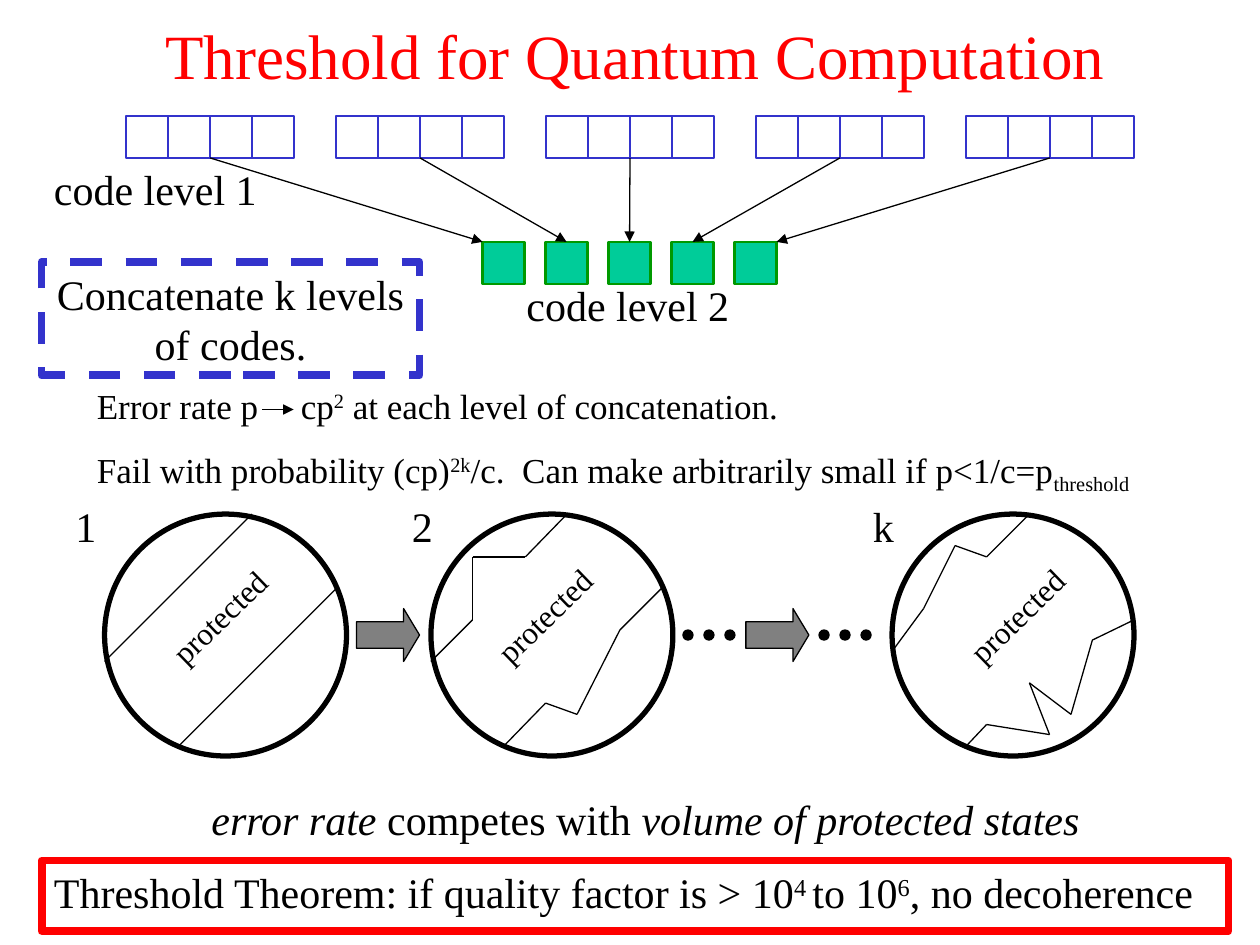
import pptx
import pptx.util
import pptx.dml.color
import pptx.enum.dml
import pptx.enum.shapes
import pptx.enum.text
import pptx.oxml
import pptx.oxml.ns
import lxml.etree

Inches, Pt = pptx.util.Inches, pptx.util.Pt
SHAPE = pptx.enum.shapes.MSO_SHAPE
ALIGN = pptx.enum.text.PP_ALIGN
FONT = "Times New Roman"
BLACK, RED, BLUE = "000000", "FF0000", "3333CC"
TEAL, GREEN, GREY = "00CC99", "009900", "808080"

# Content: a run is (text, style), style one of "", "i", "super", "sub"
TITLE = "Threshold for Quantum Computation"
LABELS = [("code level 1", 0.33, 1.25), ("code level 2", 4.08, 2.17)]
ERROR_LINES = [
    [("Error rate p\tcp", ""), ("2", "super"),
     (" at each level of concatenation.", "")],
    [("Fail with probability (cp)", ""), ("2k", "super"),
     ("/c.  Can make arbitrarily small if p<1/c=p", ""), ("threshold", "sub")],
]
COMPETES = [("error rate", "i"), (" competes with ", ""),
            ("volume of protected states", "i")]
THEOREM = [("Threshold Theorem: if quality factor is > 10", ""), ("4 ", "super"),
           ("to 10", ""), ("6", "super"), (", no decoherence", "")]

# Each level: label, label left, circle left, word position, boundary paths
LEVELS = [
    ("1", 0.5, 0.83, (1.17, 4.68), [
        [(0.83, 5.25), (2, 4.08)],
        [(1.42, 5.92), (2.67, 4.67)]]),
    ("2", 3.17, 3.42, (3.75, 4.67), [
        [(3.42, 5.25), (3.75, 4.92), (3.75, 4.42), (4.17, 4.42), (4.5, 4.08)],
        [(4, 5.92), (4.33, 5.58), (4.58, 5.67), (4.92, 5), (5.25, 4.67)]]),
    ("k", 6.83, 7.08, (7.5, 4.67), [
        [(7.08, 5.17), (7.33, 4.83), (7.58, 4.33), (7.83, 4.42), (8.17, 4.08)],
        [(7.67, 5.92), (7.83, 5.75), (8.33, 5.83), (8.17, 5.42), (8.5, 5.67),
         (8.67, 5.08), (9, 4.92)]]),
]
BLOCK_ARROWS = [2.83, 5.92]
DOT_GROUPS = [5.42, 6.5]

# Code blocks
CELL, ROW_TOP, LOWER_TOP = 1 / 3, 0.92, 1.92
GROUPS, CELLS = 5, 4


def rgb(hex_color):
    return pptx.dml.color.RGBColor.from_string(hex_color)


def add_shape(kind, x, y, w, h, line, width, fill=None):
    sp = s.shapes.add_shape(kind, Inches(x), Inches(y), Inches(w), Inches(h))
    sp.shadow.inherit = False
    if fill:
        sp.fill.solid()
        sp.fill.fore_color.rgb = rgb(fill)
    else:
        sp.fill.background()
    sp.line.color.rgb = rgb(line)
    sp.line.width = Pt(width)
    return sp


def add_line(start, end, arrow=False):
    cn = s.shapes.add_connector(pptx.enum.shapes.MSO_CONNECTOR.STRAIGHT,
                                *map(Inches, start + end))
    cn.line.color.rgb = rgb(BLACK)
    cn.line.width = Pt(0.75)
    qn = pptx.oxml.ns.qn
    if arrow:
        lxml.etree.SubElement(cn.line._get_or_add_ln(), qn("a:tailEnd"),
                              type="triangle")
    lxml.etree.SubElement(cn._element.spPr, qn("a:effectLst"))
    return cn


def write(sp, paragraphs, size, align=ALIGN.LEFT, color=BLACK, before=0, tab=None):
    tf = sp.text_frame
    tf.word_wrap = True
    tf.auto_size = pptx.enum.text.MSO_AUTO_SIZE.NONE
    tf.vertical_anchor = pptx.enum.text.MSO_ANCHOR.TOP
    for i, runs in enumerate(paragraphs):
        p = tf.add_paragraph() if i else tf.paragraphs[0]
        p.alignment = align
        p.space_before = Pt(before if i else 0)
        if tab:
            tabs = lxml.etree.SubElement(p._p.get_or_add_pPr(),
                                         pptx.oxml.ns.qn("a:tabLst"))
            lxml.etree.SubElement(tabs, pptx.oxml.ns.qn("a:tab"),
                                  pos=str(Inches(tab)), algn="l")
        p.font.name, p.font.size = FONT, Pt(size)
        p.font.color.rgb = rgb(color)
        for text, style in runs:
            r = p.add_run()
            r.text = text
            if style == "i":
                r.font.italic = True
            elif style:
                r._r.get_or_add_rPr().set(
                    "baseline", {"super": "30000", "sub": "-25000"}[style])


def add_text(paragraphs, x, y, w, h, size, **style):
    sp = s.shapes.add_textbox(Inches(x), Inches(y), Inches(w), Inches(h))
    write(sp, paragraphs, size, **style)
    return sp


prs = pptx.Presentation()
prs.slide_width, prs.slide_height = Inches(10), Inches(7.5)
s = prs.slides.add_slide(prs.slide_layouts[5])

# Title
title = s.shapes.title
title.left, title.top = Inches(0), Inches(0.08)
title.width, title.height = Inches(10.08), Inches(0.7)
write(title, [[(TITLE, "")]], 36, align=ALIGN.CENTER, color=RED)

# Two code levels, each upper block pointing to one lower square
for g in range(GROUPS):
    left = 1 + g * (CELLS + 1) * CELL
    for c in range(CELLS):
        add_shape(SHAPE.RECTANGLE, left + c * CELL, ROW_TOP, CELL, CELL, BLUE, 1.5)
    x = 3.83 + g * 0.5
    square = add_shape(SHAPE.RECTANGLE, x, LOWER_TOP, CELL, CELL, GREEN, 1.5, TEAL)
    # the outer arrows meet the outer corners of their squares
    target = {0: x, GROUPS - 1: x + CELL}.get(g, x + CELL / 2)
    cn = add_line((left + CELLS * CELL / 2, ROW_TOP + CELL), (target, LOWER_TOP), True)
    if 0 < g < GROUPS - 1:
        cn.end_connect(square, 0)
for text, x, y in LABELS:
    add_text([[(text, "")]], x, y, 2.25, 0.5, 24)

# Concatenation box
box = add_shape(SHAPE.RECTANGLE, 0.33, 2.08, 3, 0.9, BLUE, 4.5)
box.line.dash_style = pptx.enum.dml.MSO_LINE.DASH
write(box, [[("Concatenate k levels of codes.", "")]], 24, align=ALIGN.CENTER)

# Error rates
add_text(ERROR_LINES, 0.67, 3, 9, 0.99, 20, before=12.5, tab=1.62)
add_line((2.08, 3.25), (2.33, 3.25), True)

# Protected regions at successive levels
for label, label_x, circle_x, word_at, paths in LEVELS:
    add_shape(SHAPE.OVAL, circle_x, 4.08, 1.92, 1.92, BLACK, 3)
    for points in paths:
        for start, end in zip(points, points[1:]):
            add_line(start, end)
    add_text([[(label, "")]], label_x, 3.92, 1.75, 0.5, 24)
    add_text([[("protected", "")]], *word_at, 1.17, 0.4, 18).rotation = 316
for x in BLOCK_ARROWS:
    arrow = add_shape(SHAPE.RIGHT_ARROW, x, 4.83, 0.5, 0.42, BLACK, 0.75, GREY)
    arrow.adjustments[0], arrow.adjustments[1] = 0.5, 0.3
for x in DOT_GROUPS:
    for i in range(3):
        add_shape(SHAPE.OVAL, x + i / 6, 5, 0.08, 0.08, BLACK, 0.75, BLACK)

# Conclusion
add_text([COMPETES], 1.58, 6.25, 7.33, 0.5, 24)
theorem = add_shape(SHAPE.RECTANGLE, 0.33, 6.83, 9.42, 0.56, RED, 4.5)
write(theorem, [THEOREM], 24)

prs.save("out.pptx")
